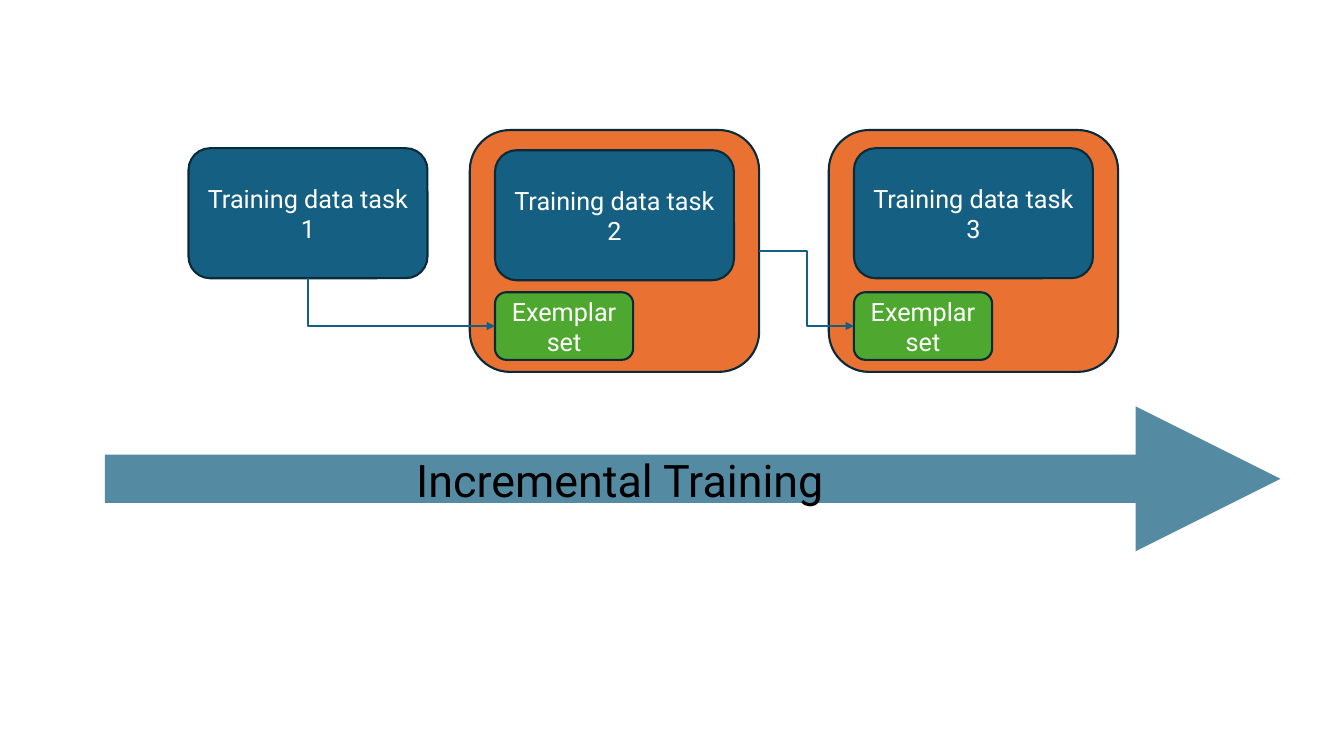
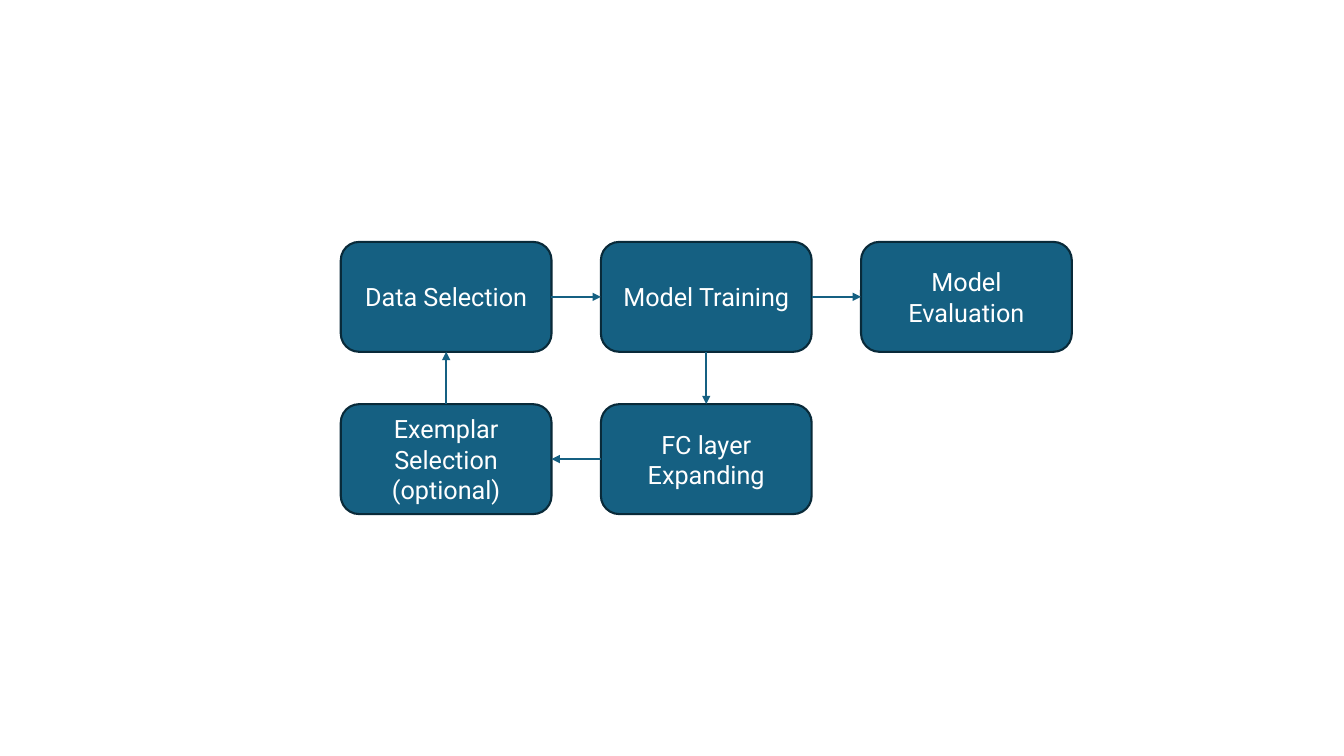
import dataclasses

import lxml.etree
import pptx
import pptx.dml.color
import pptx.enum.shapes
import pptx.enum.text
import pptx.oxml.ns
import pptx.shapes.autoshape
import pptx.shapes.connector
import pptx.slide
import pptx.util

Inches = pptx.util.Inches
qn = pptx.oxml.ns.qn
Shape = pptx.shapes.autoshape.Shape
Connector = pptx.shapes.connector.Connector
Slide = pptx.slide.Slide
CONNECTOR = pptx.enum.shapes.MSO_CONNECTOR

FONT = "Roboto"
BLUE, ORANGE, GREEN = "156082", "E97132", "4EA72E"
OUTLINE, WHITE, BLACK = "092A39", "FFFFFF", "000000"
TOP, LEFT, BOTTOM, RIGHT = range(4)
TASK_SIZE = (2.37, 1.29)
STAGE_SIZE = (2.09, 1.09)
STAGE_ORIGIN = (3.38, 2.4)
STAGE_STEP = (2.58, 1.61)


@dataclasses.dataclass(frozen=True)
class Box:
    left: float
    top: float
    width: float
    height: float
    fill: str
    lines: tuple[str, ...] = ()


@dataclasses.dataclass(frozen=True)
class Stage:
    label: str
    column: int
    row: int


@dataclasses.dataclass(frozen=True)
class Flow:
    source: str
    source_side: int
    target: str
    target_side: int


STAGES = (
    Stage("Data Selection", 0, 0),
    Stage("Model Training", 1, 0),
    Stage("Model Evaluation", 2, 0),
    Stage("FC layer Expanding", 1, 1),
    Stage("Exemplar Selection (optional)", 0, 1),
)
FLOWS = (
    Flow("Data Selection", RIGHT, "Model Training", LEFT),
    Flow("Model Training", RIGHT, "Model Evaluation", LEFT),
    Flow("Model Training", BOTTOM, "FC layer Expanding", TOP),
    Flow("FC layer Expanding", LEFT, "Exemplar Selection (optional)", RIGHT),
    Flow("Exemplar Selection (optional)", TOP, "Data Selection", BOTTOM),
)


def rgb(value: str) -> pptx.dml.color.RGBColor:
    return pptx.dml.color.RGBColor.from_string(value)


def write(paragraph, text: str, size: float, color: str) -> None:
    run = paragraph.add_run()
    run.text = text
    run.font.name = FONT
    run.font.size = pptx.util.Pt(size)
    run.font.color.rgb = rgb(color)


def draw_box(slide: Slide, box: Box) -> Shape:
    shape = slide.shapes.add_shape(
        pptx.enum.shapes.MSO_SHAPE.ROUNDED_RECTANGLE,
        Inches(box.left), Inches(box.top), Inches(box.width), Inches(box.height),
    )
    shape.shadow.inherit = False
    shape.fill.solid()
    shape.fill.fore_color.rgb = rgb(box.fill)
    shape.line.color.rgb = rgb(OUTLINE)
    shape.line.width = pptx.util.Pt(1.5)
    frame = shape.text_frame
    frame.word_wrap = True
    frame.vertical_anchor = pptx.enum.text.MSO_ANCHOR.MIDDLE
    paragraph = frame.paragraphs[0]
    paragraph.alignment = pptx.enum.text.PP_ALIGN.CENTER
    for index, line in enumerate(box.lines):
        if index:
            paragraph.add_line_break()
        write(paragraph, line, 18, WHITE)
    return shape


def style_arrow(arrow: Connector, width: float = 1.5, opacity: int = 100) -> None:
    arrow.line.color.rgb = rgb(BLUE)
    arrow.line.width = pptx.util.Pt(width)
    properties = arrow.element.spPr
    outline = properties.find(qn("a:ln"))
    if opacity < 100:
        color = outline.find(qn("a:solidFill")).find(qn("a:srgbClr"))
        lxml.etree.SubElement(color, qn("a:alpha"), val=str(opacity * 1000))
    lxml.etree.SubElement(outline, qn("a:tailEnd"), type="triangle")
    lxml.etree.SubElement(properties, qn("a:effectLst"))


def join(slide: Slide, kind: CONNECTOR, source: Shape, source_side: int,
         target: Shape, target_side: int) -> Connector:
    arrow = slide.shapes.add_connector(kind, 0, 0, 0, 0)
    arrow.begin_connect(source, source_side)
    arrow.end_connect(target, target_side)
    style_arrow(arrow)
    return arrow


def turn_down_then_right(arrow: Connector) -> None:
    across, down = arrow.width, arrow.height
    arrow.left += (across - down) // 2
    arrow.top += (down - across) // 2
    arrow.width, arrow.height = down, across
    properties = arrow.element.spPr
    transform = properties.find(qn("a:xfrm"))
    transform.set("rot", str(270 * 60000))
    transform.set("flipH", "1")
    properties.find(qn("a:prstGeom")).set("prst", "bentConnector2")


def draw_task(slide: Slide, number: int, left: float, top: float) -> Shape:
    return draw_box(slide, Box(left, top, *TASK_SIZE, BLUE, (f"Training data task {number}",)))


def draw_combined_set(slide: Slide, number: int, left: float, task_top: float) -> tuple[Shape, Shape]:
    combined = draw_box(slide, Box(left, 1.29, 2.87, 2.4, ORANGE))
    inner_left = left + 0.25
    exemplars = draw_box(slide, Box(inner_left, 2.9, 1.37, 0.67, GREEN, ("Exemplar", "set")))
    draw_task(slide, number, inner_left, task_top)
    return combined, exemplars


def build_incremental_training(slide: Slide) -> None:
    first_task = draw_task(slide, 1, 1.87, 1.47)
    second_set, second_exemplars = draw_combined_set(slide, 2, 4.66, 1.49)
    _, third_exemplars = draw_combined_set(slide, 3, 8.22, 1.47)
    turn_down_then_right(
        join(slide, CONNECTOR.ELBOW, first_task, BOTTOM, second_exemplars, LEFT))
    join(slide, CONNECTOR.ELBOW, second_set, RIGHT, third_exemplars, LEFT)

    timeline = slide.shapes.add_connector(
        CONNECTOR.STRAIGHT, Inches(1.04), Inches(4.75), Inches(12.7), Inches(4.75))
    style_arrow(timeline, 34.5, 72)
    caption = slide.shapes.add_textbox(Inches(4.03), Inches(4.44), Inches(4.51), Inches(0.64))
    caption.text_frame.word_wrap = True
    caption.text_frame.auto_size = pptx.enum.text.MSO_AUTO_SIZE.SHAPE_TO_FIT_TEXT
    write(caption.text_frame.paragraphs[0], "Incremental Training", 32, BLACK)


def build_training_cycle(slide: Slide) -> None:
    stages: dict[str, Shape] = {}
    for stage in STAGES:
        left = STAGE_ORIGIN[0] + stage.column * STAGE_STEP[0]
        top = STAGE_ORIGIN[1] + stage.row * STAGE_STEP[1]
        stages[stage.label] = draw_box(slide, Box(left, top, *STAGE_SIZE, BLUE, (stage.label,)))
    for flow in FLOWS:
        join(slide, CONNECTOR.STRAIGHT, stages[flow.source], flow.source_side,
             stages[flow.target], flow.target_side)


def main() -> None:
    deck = pptx.Presentation()
    deck.slide_width = Inches(13.33)
    deck.slide_height = Inches(7.5)
    blank = deck.slide_layouts[6]
    for build in (build_incremental_training, build_training_cycle):
        build(deck.slides.add_slide(blank))
    deck.save("out.pptx")


if __name__ == "__main__":
    main()
